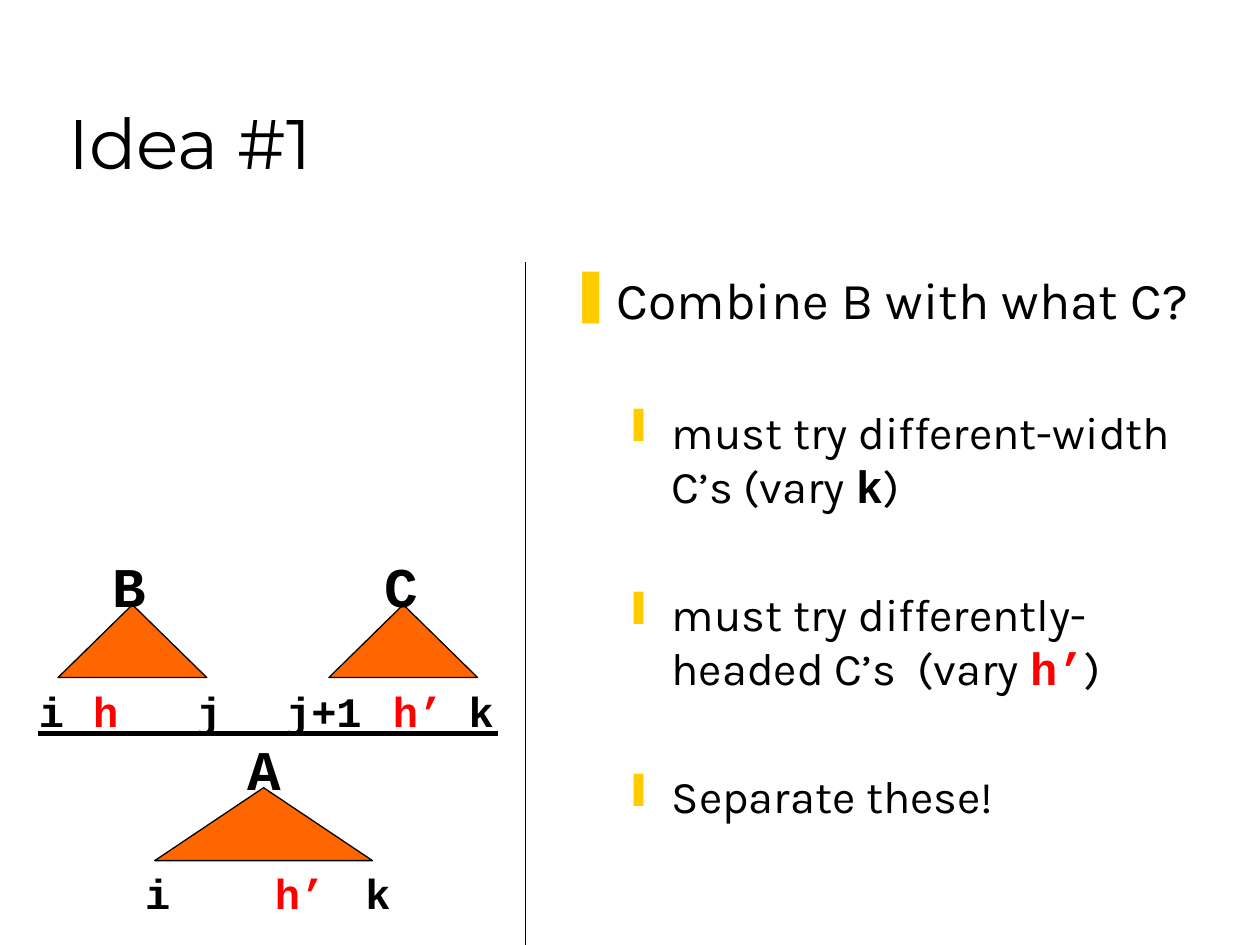
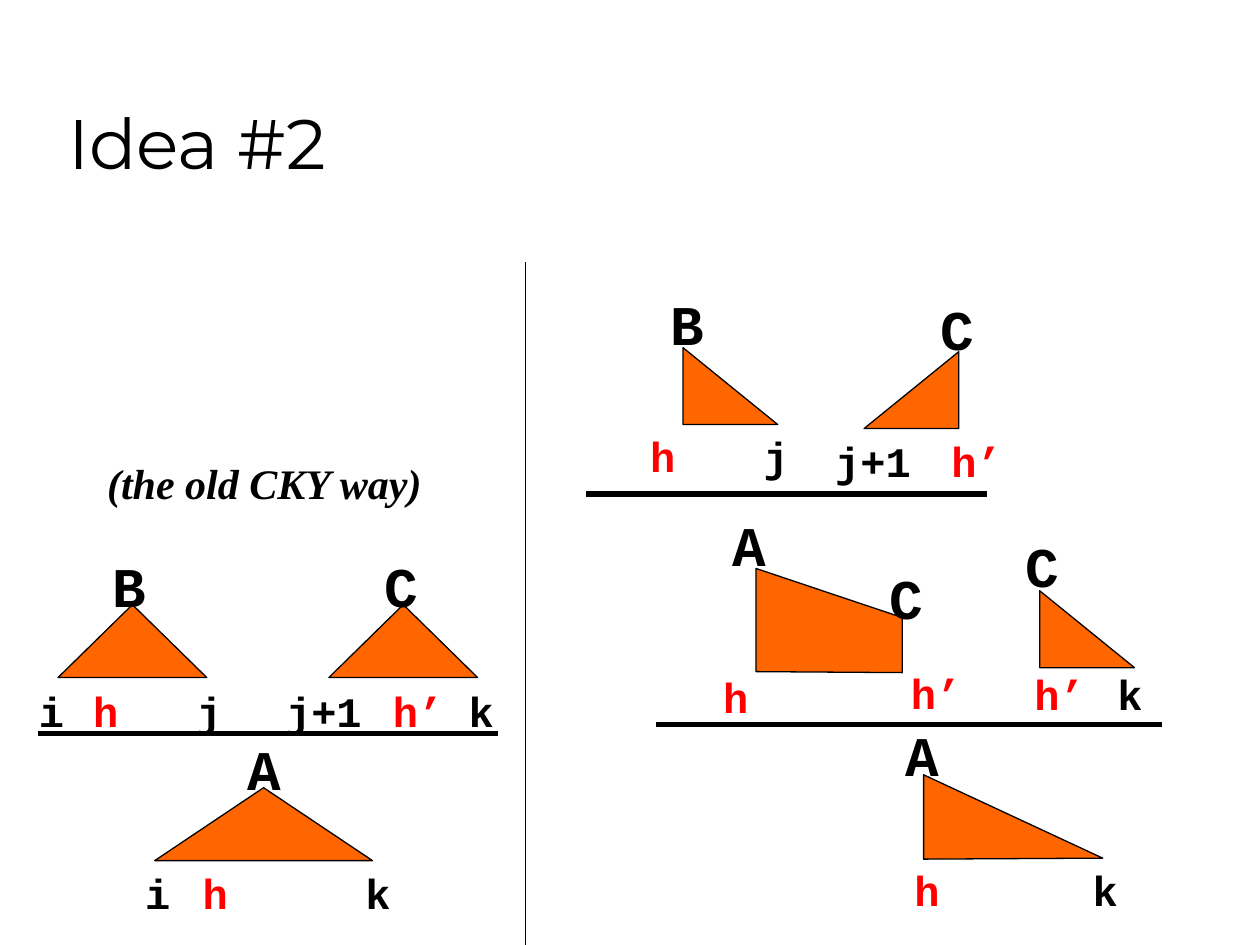
"""Build two slides on combining headed constituents in a parser."""
import pptx
import pptx.dml.color
import pptx.enum.shapes
import pptx.enum.text
import pptx.oxml
import pptx.oxml.ns
import pptx.util
from lxml import etree

Cm = pptx.util.Cm
Pt = pptx.util.Pt
RGBColor = pptx.dml.color.RGBColor
Preset = pptx.enum.shapes.MSO_SHAPE
Align = pptx.enum.text.PP_ALIGN
qn = pptx.oxml.ns.qn

BLACK = RGBColor(0x00, 0x00, 0x00)
HEAD_RED = RGBColor(0xFF, 0x00, 0x00)
ORANGE = RGBColor(0xFF, 0x66, 0x00)
BULLET_GOLD = RGBColor(0xFF, 0xCC, 0x00)
MONO, SANS, DISPLAY, SERIF = "Courier New", "Karla", "Montserrat", "Times New Roman"

QUESTION = ["Combine B with what C?"]
ANSWERS = [
    ["must try different-width C’s (vary ", "k", ")"],
    ["must try differently-headed C’s  (vary ", "h’", ")"],
    ["Separate these!"],
]


def index_color(name):
    return HEAD_RED if name.startswith("h") else BLACK


class Deck:
    def __init__(self):
        self.prs = pptx.Presentation()
        self.prs.slide_width, self.prs.slide_height = Cm(25.4), Cm(19.05)
        self.slide = None

    def style(self, font, name, size, color=BLACK, bold=False, italic=False):
        font.name, font.size, font.bold, font.italic = name, Pt(size), bold, italic
        font.color.rgb = color

    def new_slide(self, heading):
        self.slide = self.prs.slides.add_slide(self.prs.slide_layouts[5])
        title = self.slide.shapes.title
        title.left, title.top, title.width, title.height = Cm(1.12), Cm(0.64), Cm(21.59), Cm(3.18)
        title.text_frame.text = heading
        title.text_frame.vertical_anchor = pptx.enum.text.MSO_ANCHOR.BOTTOM
        paragraph = title.text_frame.paragraphs[0]
        paragraph.alignment = Align.LEFT
        self.style(paragraph.font, DISPLAY, 40)

    def line(self, x1, y1, x2, y2, weight=3):
        rule = self.slide.shapes.add_connector(
            pptx.enum.shapes.MSO_CONNECTOR.STRAIGHT, Cm(x1), Cm(y1), Cm(x2), Cm(y2))
        rule.line.color.rgb = BLACK
        rule.line.width = Pt(weight)
        etree.SubElement(rule._element.spPr, qn("a:effectLst"))

    def paint(self, shape):
        shape.shadow.inherit = False
        shape.fill.solid()
        shape.fill.fore_color.rgb = ORANGE
        shape.line.color.rgb = BLACK
        shape.line.width = Pt(0.75)

    def triangle(self, x, y, width, height=1.47, preset=Preset.ISOSCELES_TRIANGLE, flip=False):
        item = self.slide.shapes.add_shape(preset, Cm(x), Cm(y), Cm(width), Cm(height))
        self.paint(item)
        if flip:
            item._element.spPr.xfrm.set("flipH", "1")

    def half_triangle(self, x, y, flip=False):
        self.triangle(x, y, 1.91, 1.55, Preset.RIGHT_TRIANGLE, flip)

    def polygon(self, *corners):
        points = [(Cm(x), Cm(y)) for x, y in corners]
        outline = self.slide.shapes.build_freeform(*points[0])
        outline.add_line_segments(points[1:], close=True)
        self.paint(outline.convert_to_shape())

    def text(self, wording, x, y, width, height, align=Align.CENTER, **look):
        frame = self.slide.shapes.add_textbox(Cm(x), Cm(y), Cm(width), Cm(height)).text_frame
        frame.word_wrap = False
        frame.auto_size = pptx.enum.text.MSO_AUTO_SIZE.SHAPE_TO_FIT_TEXT
        frame.text = wording
        frame.paragraphs[0].alignment = align
        self.style(frame.paragraphs[0].font, bold=True, **look)

    def symbol(self, name, center, top):
        self.text(name, center - 0.58, top, 1.16, 1.63, name=MONO, size=32)

    def index(self, name, center, top):
        width = 0.51 * (len(name) + 1)
        self.text(name, center - width / 2, top, width, 1.27,
                  name=MONO, size=24, color=index_color(name))

    def bullet(self, paragraph, pieces, char, size, indent, hanging, before):
        paragraph.space_before = Pt(before)
        props = paragraph._p.get_or_add_pPr()
        props.set("marL", str(Cm(indent)))
        props.set("indent", str(-Cm(hanging)))
        tint = etree.SubElement(props, qn("a:buClr"))
        etree.SubElement(tint, qn("a:srgbClr")).set("val", str(BULLET_GOLD))
        etree.SubElement(props, qn("a:buChar")).set("char", char)
        self.style(paragraph.font, SANS, size)
        for piece in pieces:
            run = paragraph.add_run()
            run.text = piece
            if piece in ("k", "h’"):
                self.style(run.font, MONO, size, index_color(piece), bold=True)

    def outline(self, question, answers):
        frame = self.slide.shapes.add_textbox(Cm(11.23), Cm(5.28), Cm(13.77), Cm(11.58)).text_frame
        frame.word_wrap = True
        self.bullet(frame.paragraphs[0], question, "❚", 29.6, 0.95, 0.95, 8)
        for answer in answers:
            paragraph = frame.add_paragraph()
            paragraph.level = 1
            self.bullet(paragraph, answer, "❙", 25.9, 2.06, 0.79, 42)

    def old_way(self, head, head_center):
        self.line(10.59, 5.28, 10.59, 19.05, 0.75)
        for x, y, width in [(1.17, 12.19, 3), (6.63, 12.19, 3), (3.12, 15.88, 4.39)]:
            self.triangle(x, y, width)
        self.line(0.76, 14.78, 10.03, 14.78)
        for name, center, top in [("B", 2.59, 11), ("C", 8.08, 11), ("A", 5.33, 14.68)]:
            self.symbol(name, center, top)
        premises = [("i", 1.04), ("h", 2.13), ("j", 4.22), ("j+1", 6.53), ("h’", 8.43), ("k", 9.7)]
        for name, center in premises:
            self.index(name, center, 13.69)
        for name, center in [("i", 3.18), (head, head_center), ("k", 7.62)]:
            self.index(name, center, 17.37)

    def new_way(self):
        self.half_triangle(13.77, 7.01)
        self.half_triangle(17.42, 7.09, flip=True)
        self.half_triangle(20.96, 11.91)
        self.polygon((15.24, 13.54), (15.24, 11.46), (18.19, 12.45), (18.19, 13.56))
        self.polygon((18.62, 17.32), (18.62, 15.62), (22.23, 17.3))
        self.line(11.81, 9.96, 19.89, 9.96)
        self.line(13.23, 14.6, 23.42, 14.6)
        for name, center, top in [("B", 13.84, 5.72), ("C", 19.3, 5.82), ("A", 15.09, 10.16),
                                  ("C", 18.26, 11.23), ("C", 21.01, 10.59), ("A", 18.59, 14.4)]:
            self.symbol(name, center, top)
        for name, center, top in [("h", 13.36, 8.56), ("j", 15.65, 8.56),
                                  ("j+1", 17.6, 8.66), ("h’", 19.69, 8.66),
                                  ("h", 14.83, 13.41), ("h’", 18.87, 13.34),
                                  ("h’", 21.36, 13.36), ("k", 22.78, 13.36),
                                  ("h", 18.69, 17.3), ("k", 22.28, 17.3)]:
            self.index(name, center, top)


def main():
    deck = Deck()
    deck.new_slide("Idea #1")
    deck.old_way("h’", 6.05)
    deck.outline(QUESTION, ANSWERS)

    deck.new_slide("Idea #2")
    deck.old_way("h", 4.34)
    deck.text("(the old CKY way)", 1.91, 9.09, 6.88, 1.27, Align.LEFT,
              name=SERIF, size=24, italic=True)
    deck.new_way()
    deck.prs.save("out.pptx")


if __name__ == "__main__":
    main()
